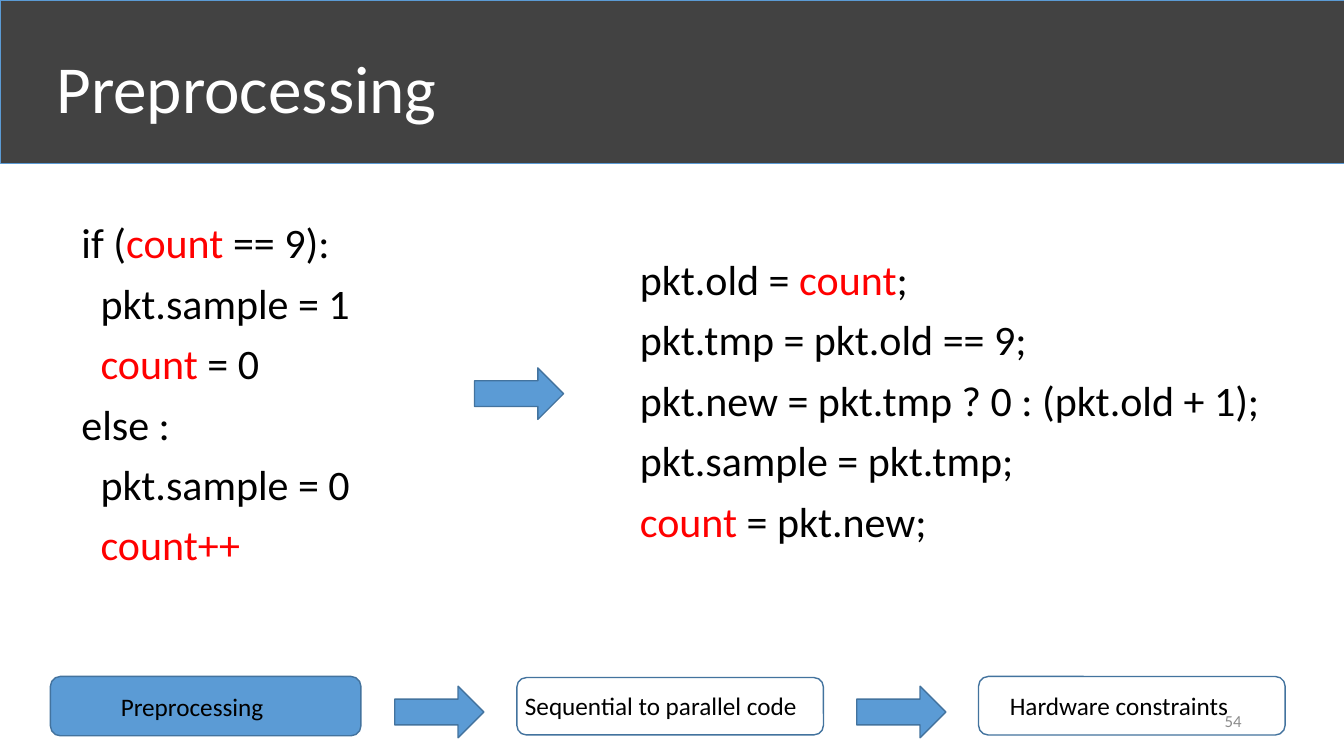
from pptx import Presentation
from pptx.dml.color import RGBColor
from pptx.enum.shapes import MSO_SHAPE
from pptx.enum.text import MSO_ANCHOR, PP_ALIGN
from pptx.util import Pt

FONT = "Calibri"
COLORS = {
    "band": "424242",
    "blue": "5B9BD5",
    "outline": "43739E",
    "text": "000000",
    "state": "FF0000",
    "title": "FFFFFF",
    "number": "8C8C8C",
}
CODE_INDENT = 13.6

# Code lines as (indent level, text); state variables stand between asterisks
SEQUENTIAL = [
    (0, "if (*count* == 9):"),
    (1, "pkt.sample = 1"),
    (1, "*count* = 0"),
    (0, "else :"),
    (1, "pkt.sample = 0"),
    (1, "*count++*"),
]
BRANCH_FREE = [
    (0, "pkt.old = *count*;"),
    (0, "pkt.tmp = pkt.old == 9;"),
    (0, "pkt.new = pkt.tmp ? 0 : (pkt.old + 1);"),
    (0, "pkt.sample = pkt.tmp;"),
    (0, "*count* = pkt.new;"),
]

# Pipeline stages: box, fill, label, label place
STAGES = [
    ((36, 483.2, 221.8, 42.4), "blue", "Preprocessing", (79.2, 490.4, 126.7, 29)),
    ((369.2, 484, 219, 41), None, "Sequential to parallel code", (367.9, 489.2, 235.4, 29)),
    ((699, 483.2, 219, 41.8), None, "Hardware constraints", (714.2, 489.8, 183.6, 29)),
]
ARROWS = [(339, 262.8), (282, 490.2), (612, 490.2)]


def rgb(name):
    return RGBColor.from_string(COLORS[name])


def style_run(r, size, color):
    r.font.name = FONT
    r.font.size = Pt(size)
    r.font.color.rgb = rgb(color)


def add_box(s, kind, box, fill, line="outline", width=1):
    sp = s.shapes.add_shape(kind, *map(Pt, box))
    sp.shadow.inherit = False
    if fill:
        sp.fill.solid()
        sp.fill.fore_color.rgb = rgb(fill)
    else:
        sp.fill.background()
    sp.line.color.rgb = rgb(line)
    sp.line.width = Pt(width)
    return sp


def add_label(s, box, text, size=18, color="text", align=PP_ALIGN.LEFT,
              anchor=MSO_ANCHOR.TOP):
    tf = s.shapes.add_textbox(*map(Pt, box)).text_frame
    tf.word_wrap = True
    tf.vertical_anchor = anchor
    tf.text = text
    p = tf.paragraphs[0]
    p.alignment = align
    style_run(p.runs[0], size, color)


def add_code(s, box, lines):
    tf = s.shapes.add_textbox(*map(Pt, box)).text_frame
    tf.word_wrap = False
    for i, (level, line) in enumerate(lines):
        p = tf.add_paragraph() if i else tf.paragraphs[0]
        p.line_spacing = 1.2
        if level:
            p._p.get_or_add_pPr().set("marL", str(Pt(level * CODE_INDENT)))
        for j, part in enumerate(line.split("*")):
            if part:
                r = p.add_run()
                r.text = part
                style_run(r, 30, "state" if j % 2 else "text")


def add_title(s, text):
    title = s.shapes.title
    title.left, title.top, title.width, title.height = map(Pt, (33.1, 9.4, 828, 104.4))
    tf = title.text_frame
    tf.text = text
    tf.vertical_anchor = MSO_ANCHOR.MIDDLE
    p = tf.paragraphs[0]
    p.alignment = PP_ALIGN.LEFT
    style_run(p.runs[0], 48, "title")
    # The band lies behind the title
    band = add_box(s, MSO_SHAPE.RECTANGLE, (0, 0, 960, 116.6), "band", "blue", 0.5)
    title.element.addprevious(band.element)


def main():
    prs = Presentation()
    prs.slide_width, prs.slide_height = Pt(960), Pt(540)
    s = prs.slides.add_slide(prs.slide_layouts[5])
    add_title(s, "Preprocessing")

    # Pipeline at the foot
    for box, fill, label, place in STAGES:
        add_box(s, MSO_SHAPE.ROUNDED_RECTANGLE, box, fill)
        add_label(s, place, label)

    # Code before and after
    add_code(s, (51.1, 144, 229.7, 269.3), SEQUENTIAL)
    add_code(s, (450, 170.2, 501.1, 225.4), BRANCH_FREE)

    for left, top in ARROWS:
        add_box(s, MSO_SHAPE.RIGHT_ARROW, (left, top, 63.6, 36.8), "blue")

    # Slide number
    add_label(s, (678, 500.5, 216, 28.8), "54", 12, "number",
              PP_ALIGN.RIGHT, MSO_ANCHOR.MIDDLE)
    prs.save("out.pptx")


if __name__ == "__main__":
    main()
